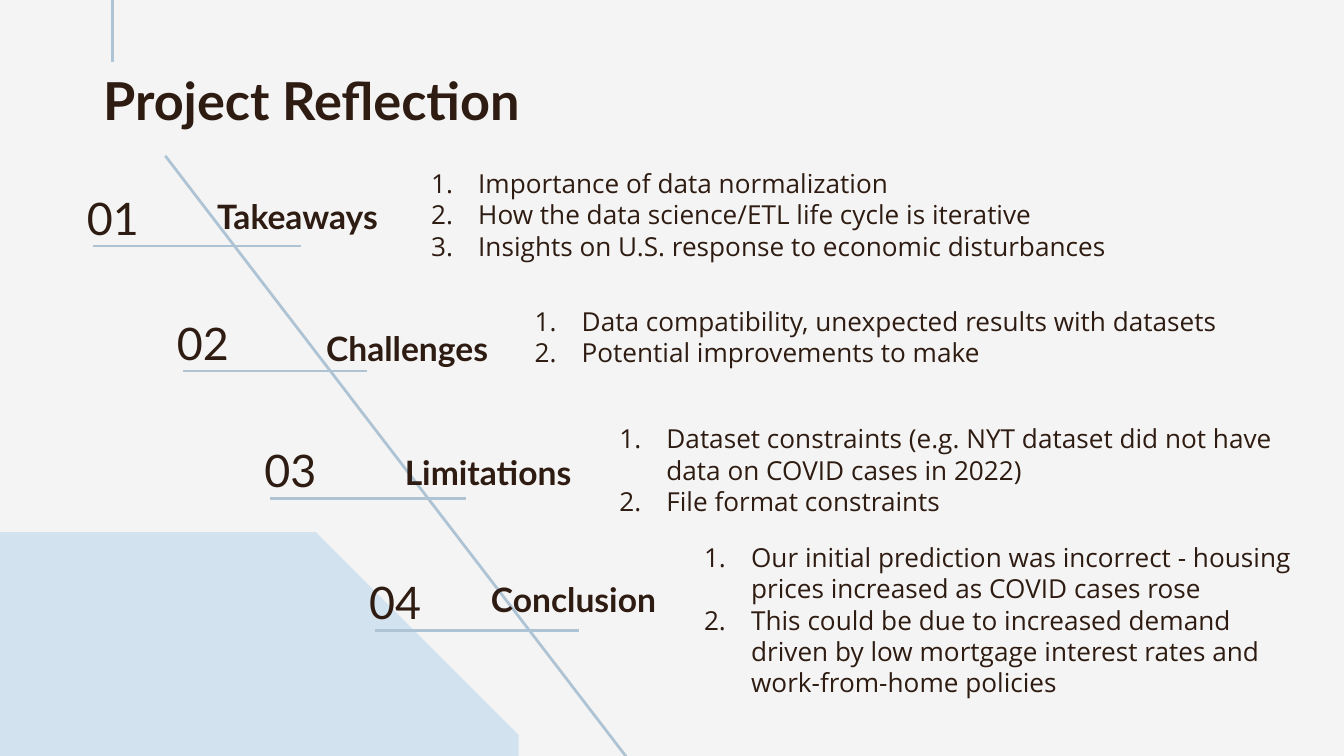
from dataclasses import dataclass

from lxml import etree
from pptx import Presentation
from pptx.dml.color import RGBColor
from pptx.enum.shapes import MSO_CONNECTOR, MSO_SHAPE
from pptx.enum.text import MSO_ANCHOR, PP_ALIGN
from pptx.oxml.ns import qn
from pptx.util import Inches, Pt

STRAIGHT = MSO_CONNECTOR.STRAIGHT
SNIPPED = MSO_SHAPE.SNIP_1_RECTANGLE
TOP, MIDDLE, BOTTOM = MSO_ANCHOR.TOP, MSO_ANCHOR.MIDDLE, MSO_ANCHOR.BOTTOM
LEFT, CENTER, RIGHT = PP_ALIGN.LEFT, PP_ALIGN.CENTER, PP_ALIGN.RIGHT


@dataclass(frozen=True)
class Theme:
    background: RGBColor = RGBColor(0xF4, 0xF4, 0xF4)
    panel: RGBColor = RGBColor(0xD2, 0xE2, 0xEE)
    line: RGBColor = RGBColor(0xAE, 0xC4, 0xD5)
    text: RGBColor = RGBColor(0x2E, 0x1B, 0x11)
    heading_font: str = "Lato"
    body_font: str = "Open Sans"
    title_size: int = 28
    number_size: int = 24
    heading_size: int = 18
    body_size: int = 14
    line_width: float = 1.5


THEME = Theme()


@dataclass(frozen=True)
class Step:
    """One row; the heading and list boxes are relative to the row's corner."""
    corner: tuple
    heading: str
    heading_box: tuple
    rule_length: float
    list_box: tuple
    points: tuple


STEPS = (
    Step((0.45, 1.24), "Takeaways", (0.91, 0.09, 1.55, 0.53), 1.55,
         (2.51, -0.07, 5.38, 0.85),
         ("Importance of data normalization",
          "How the data science/ETL life cycle is iterative",
          "Insights on U.S. response to economic disturbances")),
    Step((1.12, 2.17), "Challenges", (0.8, 0.14, 1.81, 0.53), 1.37,
         (2.61, -0.04, 5.56, 0.75),
         ("Data compatibility, unexpected results with datasets",
          "Potential improvements to make")),
    Step((1.77, 3.12), "Limitations", (1.03, 0.11, 1.55, 0.53), 1.46,
         (2.59, 0, 5.38, 0.75),
         ("Dataset constraints (e.g. NYT dataset did not have data on COVID "
          "cases in 2022)",
          "File format constraints")),
    Step((2.55, 4.1), "Conclusion", (0.98, 0.08, 1.45, 0.53), 1.52,
         (2.44, -0.15, 4.81, 1.32),
         ("Our initial prediction was incorrect - housing prices increased as "
          "COVID cases rose",
          "This could be due to increased demand driven by low mortgage "
          "interest rates and work-from-home policies")),
)


def add_line(slide, start, end):
    connector = slide.shapes.add_connector(
        STRAIGHT, *(Inches(value) for value in (*start, *end)))
    connector.line.color.rgb = THEME.line
    connector.line.width = Pt(THEME.line_width)
    etree.SubElement(connector._element.spPr, qn("a:effectLst"))


def number_paragraph(paragraph):
    """Give the paragraph a hanging 1., 2., 3. marker."""
    properties = paragraph._p.get_or_add_pPr()
    properties.set("marL", str(Inches(0.5)))
    properties.set("indent", str(Inches(-0.35)))
    color = etree.SubElement(properties, qn("a:buClr"))
    etree.SubElement(color, qn("a:srgbClr"), val=str(THEME.text))
    etree.SubElement(properties, qn("a:buFont"), typeface=THEME.body_font)
    etree.SubElement(properties, qn("a:buAutoNum"), type="arabicPeriod")


def add_text(slide, box, lines, size, font=THEME.heading_font, bold=False,
             align=LEFT, anchor=TOP, numbered=False):
    shape = slide.shapes.add_textbox(*(Inches(value) for value in box))
    frame = shape.text_frame
    frame.word_wrap = True
    frame.vertical_anchor = anchor
    frame.margin_left = frame.margin_right = Inches(0.1)
    frame.margin_top = frame.margin_bottom = Inches(0.1)
    frame.text = "\n".join(lines)
    for paragraph in frame.paragraphs:
        paragraph.alignment = align
        if numbered:
            number_paragraph(paragraph)
        for run in paragraph.runs:
            run.font.name = font
            run.font.size = Pt(size)
            run.font.bold = bold
            run.font.color.rgb = THEME.text


def add_backdrop(slide, box):
    """Cut-corner panel that bleeds off the lower left."""
    panel = slide.shapes.add_shape(SNIPPED, *(Inches(value) for value in box))
    panel.adjustments[0] = 0.5
    panel.shadow.inherit = False
    panel.fill.solid()
    panel.fill.fore_color.rgb = THEME.panel
    panel.line.fill.background()


def add_title(slide, box):
    left, top = box[:2]
    add_line(slide, (left + 0.17, -0.03), (left + 0.17, top + 0.05))
    add_text(slide, box, ["Project Reflection"], THEME.title_size, bold=True)


def add_step(slide, number, step):
    left, top = step.corner

    def place(box):
        return (left + box[0], top + box[1], *box[2:])

    add_text(slide, place((0, 0, 0.78, 0.75)), [f"{number:02}"],
             THEME.number_size, align=CENTER, anchor=MIDDLE)
    add_line(slide, place((0.24, 0.59)), place((0.24 + step.rule_length, 0.59)))
    add_text(slide, place(step.heading_box), [step.heading],
             THEME.heading_size, bold=True, align=RIGHT, anchor=BOTTOM)
    add_text(slide, place(step.list_box), step.points, THEME.body_size,
             font=THEME.body_font, anchor=MIDDLE, numbered=True)


def main():
    presentation = Presentation()
    # Widescreen, 16:9
    presentation.slide_width = Inches(10)
    presentation.slide_height = Inches(10) * 9 // 16
    slide = presentation.slides.add_slide(presentation.slide_layouts[6])
    slide.background.fill.solid()
    slide.background.fill.fore_color.rgb = THEME.background

    add_backdrop(slide, (-1.94, 3.96, 5.8, 3.02))
    add_title(slide, (0.67, 0.41, 5.94, 0.75))

    # Diagonal that the steps descend along
    add_line(slide, (1.23, 1.16), (4.69, 5.67))
    for number, step in enumerate(STEPS, start=1):
        add_step(slide, number, step)

    presentation.save("out.pptx")


if __name__ == "__main__":
    main()
